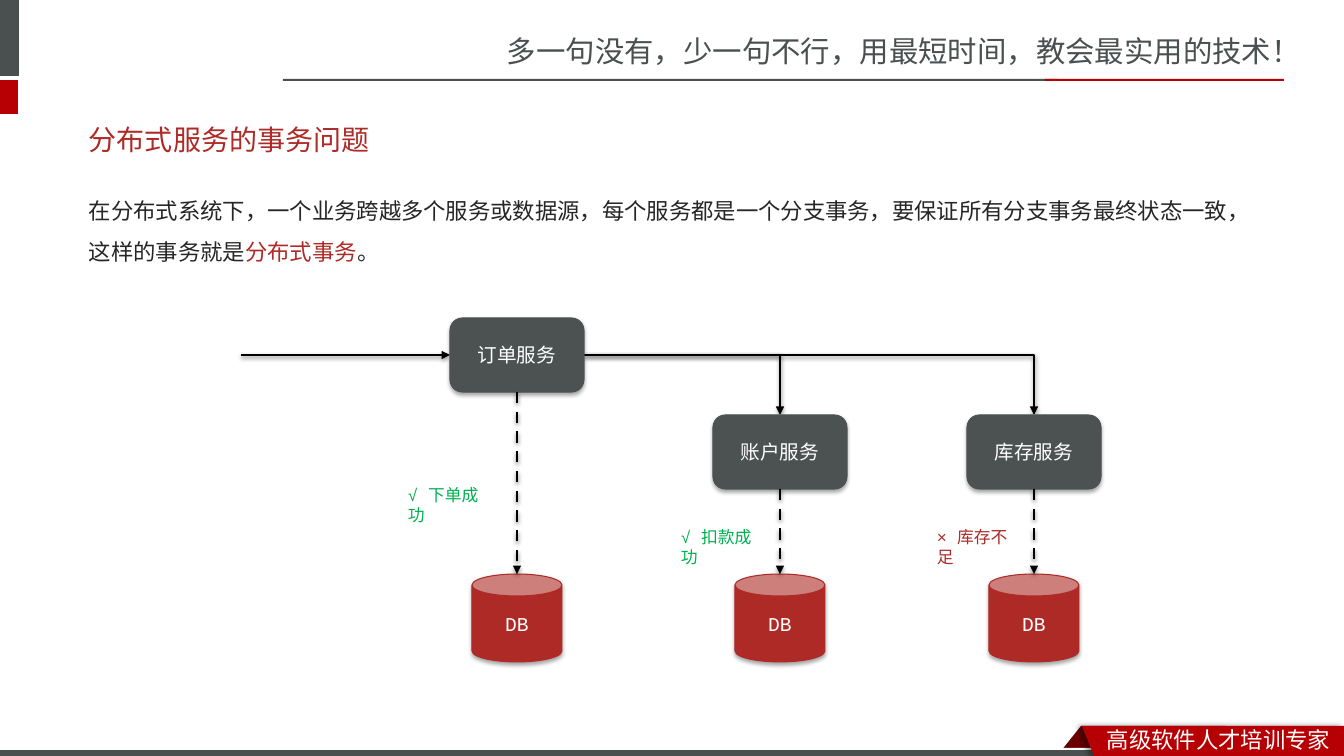
import pptx
import pptx.util
import pptx.dml.color
import pptx.enum.dml
import pptx.enum.shapes
import pptx.enum.text
import pptx.oxml
import pptx.oxml.ns
from lxml import etree

RGB = pptx.dml.color.RGBColor
SHAPE = pptx.enum.shapes.MSO_SHAPE
CONNECTOR = pptx.enum.shapes.MSO_CONNECTOR
ALIGN = pptx.enum.text.PP_ALIGN
ANCHOR = pptx.enum.text.MSO_ANCHOR
qn = pptx.oxml.ns.qn

BLACK, WHITE = RGB(0, 0, 0), RGB(0xFF, 0xFF, 0xFF)
SLATE, BOX = RGB(0x49, 0x50, 0x4F), RGB(0x4C, 0x52, 0x52)
RED, BRIGHT_RED, DARK_RED = RGB(0xAD, 0x2A, 0x26), RGB(0xB6, 0, 4), RGB(0x68, 0, 0)
GREEN, INK = RGB(0, 0xB0, 0x50), RGB(0x26, 0x26, 0x26)
SANS, CJK, MONO, LATIN = "Noto Sans CJK SC", "Noto Sans CJK JP", "Courier New", "Arial"

PX = 914400 / 100.8
WIDTH, HEIGHT = 1344, 756

SLOGAN = "多一句没有，少一句不行，用最短时间，教会最实用的技术！"
RIBBON = "高级软件人才培训专家"
TITLE = "分布式服务的事务问题"
BODY = [
    ("在分布式系统下，一个业务跨越多个服务或数据源，每个服务都是一个分支事务，"
     "要保证所有分支事务最终状态一致，这样的事务就是", INK),
    ("分布式事务", RED),
    ("。", INK),
]
# left, top, width, height, colour
BARS = [
    (0, 0, 19, 76, SLATE),
    (0, 80, 18, 34, BRIGHT_RED),
    (283, 79, 774, 2, SLATE),
    (1045, 79, 239, 2, BRIGHT_RED),
    (0, 750, 1108, 6, SLATE),
]
RIBBON_OUTLINE = [(1082, 726), (WIDTH, 726), (WIDTH, HEIGHT), (1094, HEIGHT)]
# name, centre x, top, result label, label left, label top, label colour
SERVICES = [
    ("订单服务", 517, 318, "√ 下单成功", 398, 480, GREEN),
    ("账户服务", 780, 415, "√ 扣款成功", 671, 522, GREEN),
    ("库存服务", 1034, 415, "× 库存不足", 927, 522, RED),
]
SERVICE_W, SERVICE_H = 134, 74
DB_W, DB_H, DB_TOP = 90, 88, 574
FLOW_START = 241
# opacity %, blur pt, distance pt, direction in degrees
BOX_SHADOW = (35, 3.1, 1.8, 90)
LINE_SHADOW = (38, 3.1, 1.6, 90)
RIBBON_SHADOW = (40, 4, 3, 180)


def px(*lengths):
    return [pptx.util.Emu(round(v * PX)) for v in lengths]


def add_shadow(s, opacity, blur, distance, angle):
    sp_pr = s._element.spPr
    effects = sp_pr.find(qn("a:effectLst"))
    if effects is None:
        effects = etree.SubElement(sp_pr, qn("a:effectLst"))
    shadow = etree.SubElement(
        effects, qn("a:outerShdw"), blurRad=str(pptx.util.Pt(blur)),
        dist=str(pptx.util.Pt(distance)), dir=str(angle * 60000), rotWithShape="0")
    color = etree.SubElement(shadow, qn("a:srgbClr"), val=str(BLACK))
    etree.SubElement(color, qn("a:alpha"), val=str(opacity * 1000))


def paint(s, fill, line=None, shadow=None):
    s.shadow.inherit = False
    s.fill.solid()
    s.fill.fore_color.rgb = fill
    if line is None:
        s.line.fill.background()
    else:
        s.line.color.rgb = line
        s.line.width = pptx.util.Pt(0.75)
    if shadow:
        add_shadow(s, *shadow)
    return s


def add_block(kind, box, fill, **style):
    return paint(slide.shapes.add_shape(kind, *px(*box)), fill, **style)


def write(s, text, size, font, color=WHITE, align=ALIGN.LEFT, anchor=ANCHOR.TOP, spacing=None):
    """Write a string, or a list of (text, colour) runs, as one paragraph."""
    tf = s.text_frame
    tf.word_wrap = True
    tf.vertical_anchor = anchor
    p = tf.paragraphs[0]
    p.alignment = align
    if spacing:
        p.line_spacing = spacing
    for words, run_color in [(text, color)] if isinstance(text, str) else text:
        r = p.add_run()
        r.text = words
        r.font.size = pptx.util.Pt(size)
        r.font.name = font
        r.font.color.rgb = run_color
        etree.SubElement(r.font._element, qn("a:ea"), typeface=font)


def add_text(box, text, size, font, **style):
    write(slide.shapes.add_textbox(*px(*box)), text, size, font, **style)


def add_arrow(x1, y1, x2, y2, dashed=False):
    """Arrow between two points; if neither axis matches, it runs across, then down."""
    bent = x1 != x2 and y1 != y2
    kind = CONNECTOR.ELBOW if bent else CONNECTOR.STRAIGHT
    s = slide.shapes.add_connector(kind, *px(x1, y1, x2, y2))
    if bent:
        s._element.spPr.find(qn("a:prstGeom")).set("prst", "bentConnector2")
    s.line.color.rgb = BLACK
    s.line.width = pptx.util.Pt(2)
    if dashed:
        s.line.dash_style = pptx.enum.dml.MSO_LINE.DASH
    etree.SubElement(s.line._get_or_add_ln(), qn("a:tailEnd"), type="triangle")
    add_shadow(s, *LINE_SHADOW)


def add_frame():
    fold = add_block(SHAPE.PARALLELOGRAM, (1057, 726, 169, 30), DARK_RED)
    fold.adjustments[0] = 0.8
    add_block(SHAPE.RECTANGLE, (0, 748, WIDTH, 8), WHITE)
    for *box, color in BARS:
        add_block(SHAPE.RECTANGLE, box, color)
    builder = slide.shapes.build_freeform(*RIBBON_OUTLINE[0], scale=PX)
    builder.add_line_segments(RIBBON_OUTLINE[1:], close=True)
    paint(builder.convert_to_shape(), BRIGHT_RED, shadow=RIBBON_SHADOW)
    add_text((497, 28, 847, 47), SLOGAN, 21, SANS, color=SLATE)
    add_text((1097, 721, 247, 35), RIBBON, 16, SANS)


def add_diagram():
    centered = dict(align=ALIGN.CENTER, anchor=ANCHOR.MIDDLE)
    _, order_x, order_top, *_ = SERVICES[0]
    flow_y = order_top + SERVICE_H // 2
    add_arrow(FLOW_START, flow_y, order_x - SERVICE_W // 2, flow_y)
    for _, x, top, *_ in SERVICES[1:]:
        add_arrow(order_x + SERVICE_W // 2, flow_y, x, top)
    for name, x, top, result, label_x, label_y, color in SERVICES:
        service = add_block(SHAPE.ROUNDED_RECTANGLE, (x - SERVICE_W // 2, top, SERVICE_W, SERVICE_H),
                            BOX, line=BOX, shadow=BOX_SHADOW)
        write(service, name, 14, MONO, **centered)
        db = add_block(SHAPE.CAN, (x - DB_W // 2, DB_TOP, DB_W, DB_H),
                       RED, line=RED, shadow=BOX_SHADOW)
        write(db, "DB", 14, MONO, **centered)
        add_arrow(x, top + SERVICE_H, x, DB_TOP, dashed=True)
        add_text((label_x, label_y, 106, 30), result, 12, MONO, color=color)


prs = pptx.Presentation()
prs.slide_width, prs.slide_height = px(WIDTH, HEIGHT)
slide = prs.slides.add_slide(prs.slide_layouts[6])
add_frame()
add_text((79, 111, 1179, 57), TITLE, 20, LATIN, color=RED, anchor=ANCHOR.MIDDLE)
add_text((79, 179, 1179, 100), BODY, 16, CJK, spacing=1.5)
add_diagram()
prs.save("out.pptx")
